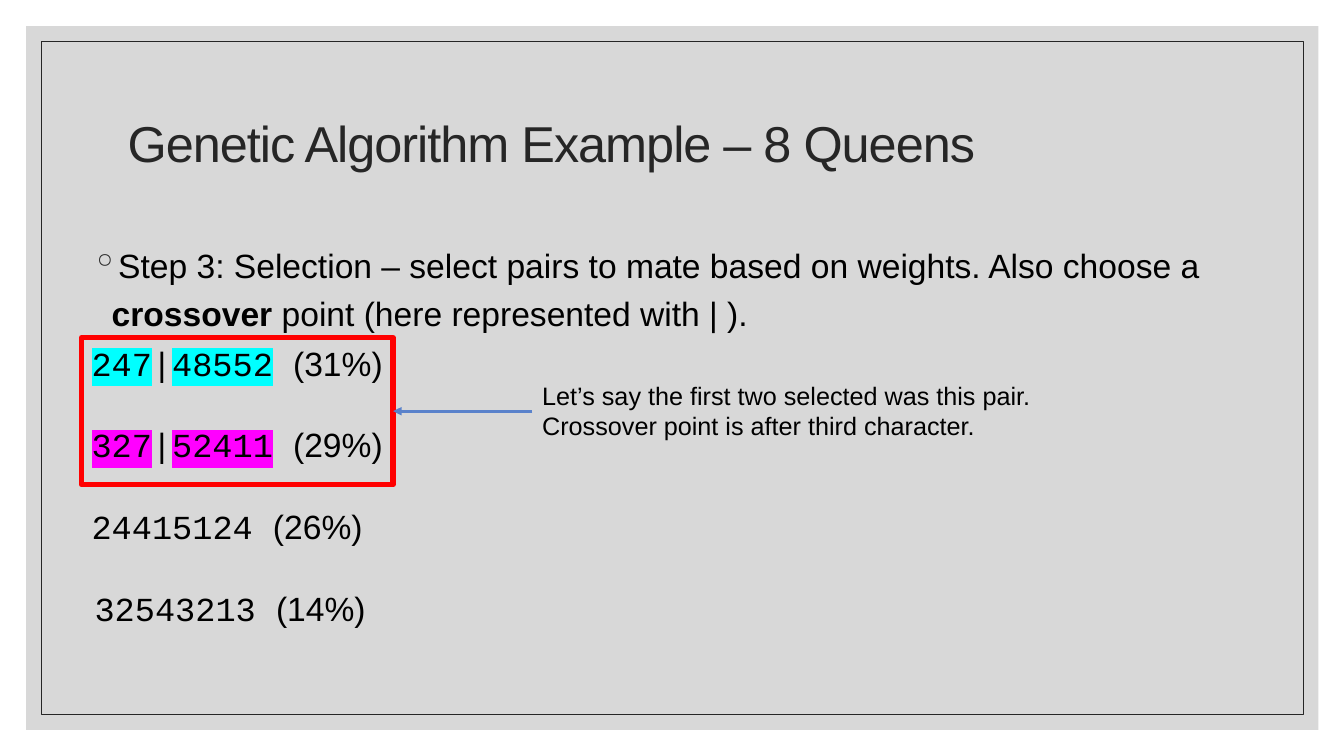
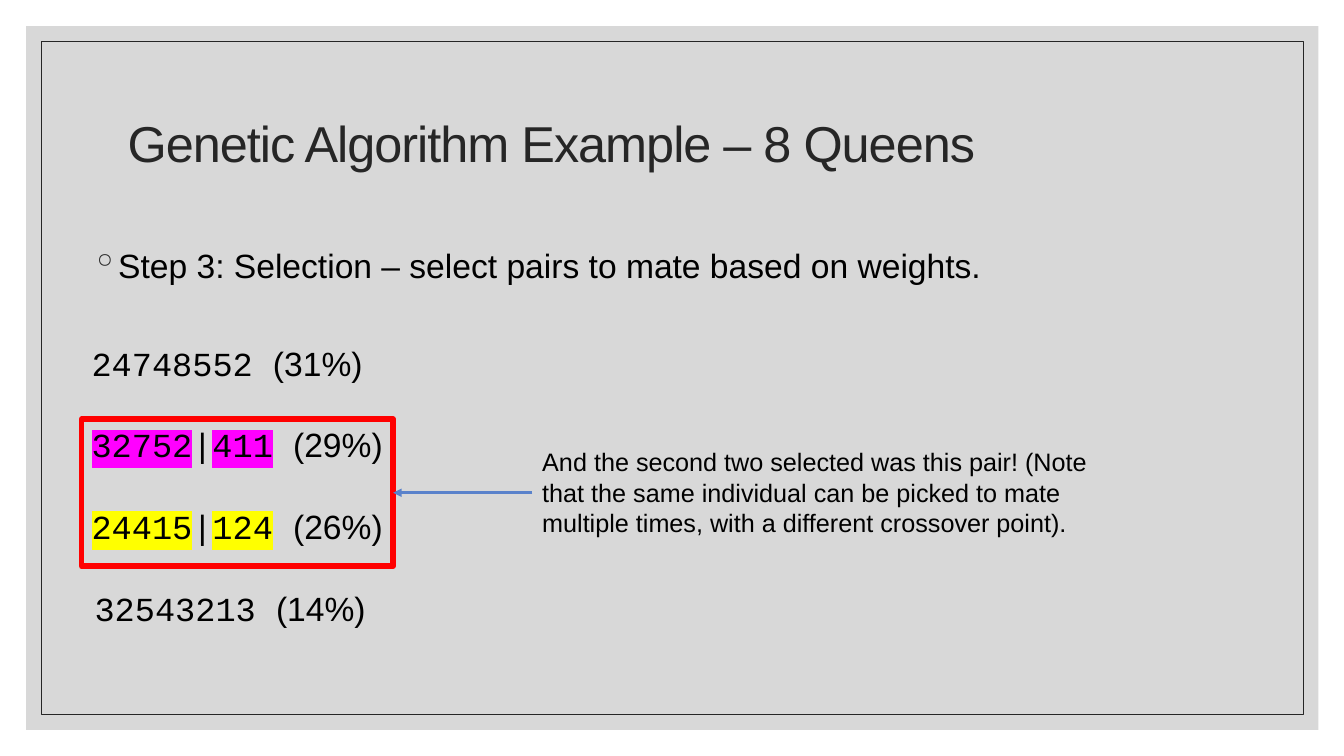
import pptx
import pptx.util
import pptx.dml.color
import pptx.enum.shapes
import pptx.enum.text
import pptx.oxml
import pptx.oxml.ns

Pt = pptx.util.Pt
qn = pptx.oxml.ns.qn
RECT = pptx.enum.shapes.MSO_SHAPE.RECTANGLE
LINE = pptx.enum.shapes.MSO_CONNECTOR.STRAIGHT
MIDDLE = pptx.enum.text.MSO_ANCHOR.MIDDLE
TOP = pptx.enum.text.MSO_ANCHOR.TOP

HEX = {
    "black": "000000", "dark": "262626", "band": "BFBFBF", "red": "FF0000",
    "blue": "5A82CB", "cyan": "00FFFF", "pink": "FF00FF", "yellow": "FFFF00",
}
TITLE = "Genetic Algorithm Example – 8 Queens"
GENES = [
    ("24748552", "(31%)", "cyan"),
    ("32752411", "(29%)", "pink"),
    ("24415124", "(26%)", "yellow"),
    ("32543213", "(14%)", None),
]
STEP = "Step 3: Selection – select pairs to mate based on weights."
SLIDES = [
    {
        "step": [(STEP + " Also choose a ", {}), ("crossover", {"bold": True}),
                 (" point (here represented with | ).", {})],
        "first": 0, "cut": 3, "size": (374.4, 51),
        "note": "Let’s say the first two selected was this pair. "
                "Crossover point is after third character.",
    },
    {
        "step": [(STEP, {})],
        "first": 1, "cut": 5, "size": (411.8, 73),
        "note": "And the second two selected was this pair! (Note that the same "
                "individual can be picked to mate multiple times, with a "
                "different crossover point).",
    },
]
LEFT, ROW, PITCH = 58.3, 241.2, 58.3
WIDE, HIGH = 222.5, 105
NOTE = 380.2


def rgb(name):
    return pptx.dml.color.RGBColor.from_string(HEX[name])


def node(tag, **attrs):
    item = pptx.oxml.parse_xml(
        f'<a:{tag} xmlns:a="http://schemas.openxmlformats.org/drawingml/2006/main"/>')
    for key, val in attrs.items():
        item.set(key, val)
    return item


def tint(tag, name):
    item = node(tag)
    item.append(node("srgbClr", val=HEX[name]))
    return item


def text(slide, runs, spot, size=24, color="black", space=None,
         lines=None, anchor=TOP, bullet=None):
    box = slide.shapes.add_textbox(*map(Pt, spot))
    frame = box.text_frame
    frame.word_wrap = True
    frame.vertical_anchor = anchor
    para = frame.paragraphs[0]
    if bullet:
        props = para._p.get_or_add_pPr()
        props.set("marL", str(Pt(14.4)))
        props.set("indent", str(-Pt(14.4)))
        props.append(tint("buClr", "dark"))
        props.append(node("buChar", char=bullet))
    if lines:
        para.line_spacing = lines
    for words, style in runs:
        run = para.add_run()
        run.text = words
        font = run.font
        font.size = Pt(size)
        font.name = style.get("font", "Arial")
        font.bold = style.get("bold", False)
        font.color.rgb = rgb(color)
        props = run._r.get_or_add_rPr()
        if space:
            props.set("spc", str(space))
        if style.get("mark"):
            props.find(qn("a:solidFill")).addnext(tint("highlight", style["mark"]))


def rect(slide, spot, fill=None, alpha=None, line=None, width=1):
    shape = slide.shapes.add_shape(RECT, *map(Pt, spot))
    shape.shadow.inherit = False
    if fill:
        shape.fill.solid()
        shape.fill.fore_color.rgb = rgb(fill)
        if alpha:
            paint = shape.element.spPr.find(qn("a:solidFill"))
            paint[0].append(node("alpha", val=str(alpha * 1000)))
    else:
        shape.fill.background()
    if line:
        shape.line.color.rgb = rgb(line)
        shape.line.width = Pt(width)
    else:
        shape.line.fill.background()


def arrow(slide, start, end, y):
    link = slide.shapes.add_connector(LINE, Pt(start), Pt(y), Pt(end), Pt(y))
    link.line.color.rgb = rgb("blue")
    link.line.width = Pt(2)
    link.line._get_or_add_ln().append(node("tailEnd", type="triangle"))
    link.element.spPr.append(node("effectLst"))


def gene_runs(gene, share, mark, cut):
    code = {"font": "Courier New"}
    if cut is None:
        return [(gene + " ", code), (share, {})]
    lit = {**code, "mark": mark}
    return [(gene[:cut], lit), ("|", code), (gene[cut:], lit), (" ", code), (share, {})]


def base(deck):
    slide = deck.slides.add_slide(deck.slide_layouts[6])
    rect(slide, (18.7, 18.7, 923, 502.6), fill="band", alpha=60)
    rect(slide, (29.5, 29.5, 901.4, 481), line="dark", width=0.5)
    text(slide, [(TITLE, {})], (84.2, 50.4, 792, 108), size=36, color="dark",
         space=-70, lines=0.9, anchor=MIDDLE)
    return slide


def build(deck, data):
    slide = base(deck)
    first = data["first"]
    text(slide, data["step"], (LEFT, 165.6, 838, 303), lines=1.2, bullet="◦")
    for i, (gene, share, mark) in enumerate(GENES):
        cut = data["cut"] if first <= i <= first + 1 else None
        left = LEFT if mark else LEFT + 2.2
        text(slide, gene_runs(gene, share, mark, cut),
             (left, ROW + i * PITCH, 246, 36))
    top = ROW + first * PITCH
    mid = top + HIGH / 2
    rect(slide, (LEFT, top, WIDE, HIGH), line="red", width=4)
    wide, high = data["size"]
    text(slide, [(data["note"], {})], (NOTE, mid - high / 2, wide, high), size=18)
    arrow(slide, NOTE, LEFT + WIDE, mid)


def main():
    deck = pptx.Presentation()
    deck.slide_width, deck.slide_height = Pt(960), Pt(540)
    for data in SLIDES:
        build(deck, data)
    deck.save("out.pptx")


if __name__ == "__main__":
    main()
